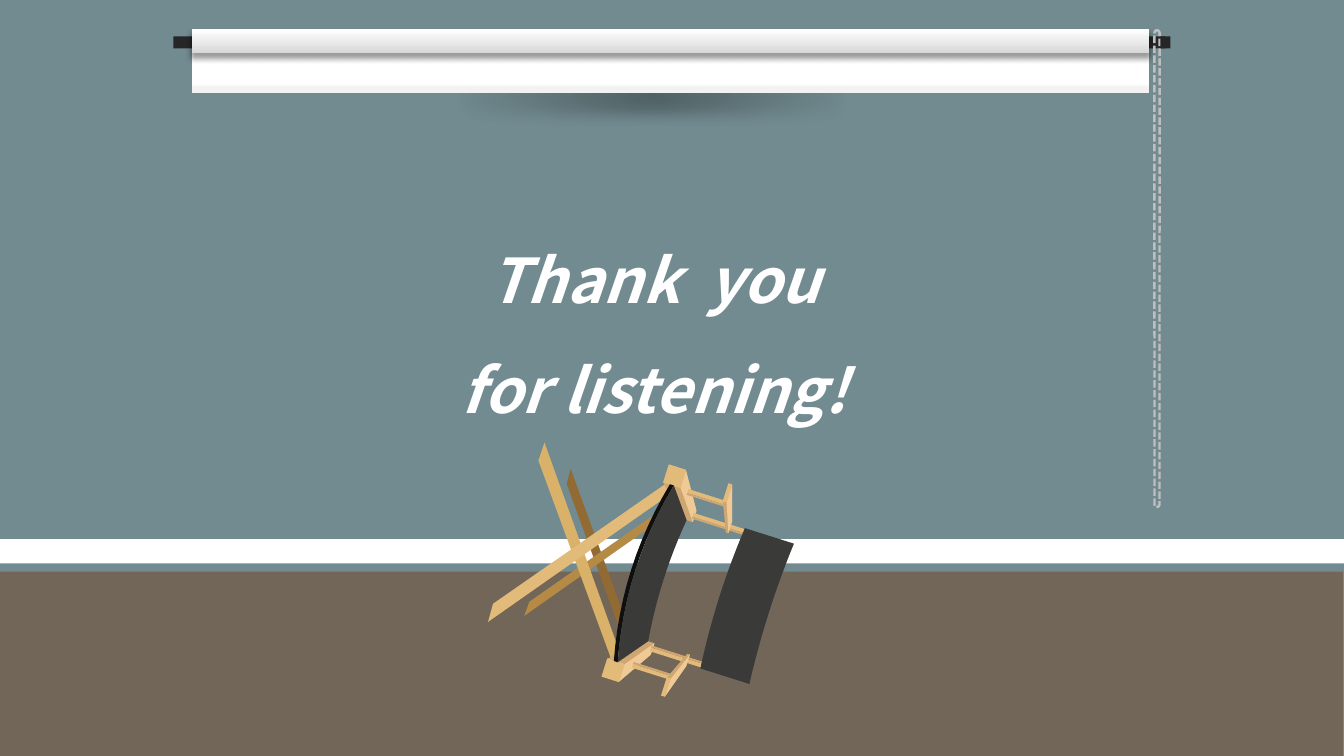
import math
from dataclasses import dataclass

from lxml import etree
from pptx import Presentation
from pptx import util as u
from pptx.dml.color import RGBColor
from pptx.enum import dml, shapes, text
from pptx.oxml import ns

# The slide is a grid of 1333 columns by 750 rows
COLUMNS, ROWS = 1333, 750
CELL = u.Inches(0.01)

# The chair is symmetric about an axis through this cell, and lies tilted
CHAIR_X, CHAIR_Y, TILT = 630, 566, 107.6
SIDES = (-1, 1)

WALL, FLOOR, WHITE, ROD, CHAIN, BLACK = "728B90", "726658", "FFFFFF", "262626", "BFBFBF", "000000"
OAK, OAK_SHADE, OAK_LIGHT = "E2BA7A", "CEA672", "EFCA95"
BACK_LEG, BACK_BRACE, FRONT_LEG = "916B33", "B58A45", "D9B169"
CANVAS, CANVAS_EDGE = "3A3A38", "0F0F0F"

Point = tuple[float, float]


@dataclass
class Block:
    """A preset shape: left, top, width and height in grid cells."""
    color: str
    left: float
    top: float
    width: float
    height: float
    turn: float = 0
    kind: shapes.MSO_SHAPE = shapes.MSO_SHAPE.RECTANGLE


@dataclass
class Leg:
    """A mitred pole with its corners in grid cells."""
    color: str
    corners: list[Point]


@dataclass
class Rail:
    """A pair of rails: distance from the axis, first and last depth."""
    span: float
    start: float
    end: float


@dataclass
class Bracket:
    """A pair of end pieces: depth, thickness and how far they reach back."""
    depth: float
    thickness: float
    reach: float


@dataclass
class Edge:
    """A bowed canvas edge: depth at the axis, bow and half its span."""
    depth: float
    bow: float
    half: float

    def points(self, steps: int = 12) -> list[Point]:
        shares = [2 * i / steps - 1 for i in range(steps + 1)]
        return [place(s * self.half, self.depth + self.bow * s * s) for s in shares]


def place(span: float, depth: float) -> Point:
    """Turn chair measures into a grid position."""
    c, s = math.cos(math.radians(TILT)), math.sin(math.radians(TILT))
    return CHAIR_X + span * c + depth * s, CHAIR_Y + span * s - depth * c


def rgb(color: str) -> RGBColor:
    return RGBColor.from_string(color)


def paint(shape, color: str) -> None:
    shape.shadow.inherit = False
    shape.fill.solid()
    shape.fill.fore_color.rgb = rgb(color)
    shape.line.fill.background()


def draw_block(canvas, block: Block):
    box = [round(v * CELL) for v in (block.left, block.top, block.width, block.height)]
    shape = canvas.add_shape(block.kind, *box)
    shape.rotation = block.turn
    paint(shape, block.color)
    return shape


def draw_outline(canvas, color: str, corners: list[Point]) -> None:
    start, *rest = [(round(x * CELL), round(y * CELL)) for x, y in corners]
    builder = canvas.build_freeform(*start)
    builder.add_line_segments(rest, close=True)
    paint(builder.convert_to_shape(), color)


def draw_wood(canvas, span: float, depth: float, width: float, height: float) -> None:
    x, y = place(span, depth)
    draw_block(canvas, Block(OAK, x - width / 2, y - height / 2, width, height, TILT))


def draw_rail(canvas, rail: Rail) -> None:
    for side in SIDES:
        draw_wood(canvas, side * rail.span, (rail.start + rail.end) / 2, 4,
                  rail.end - rail.start)
        inner, outer = side * (rail.span - 4), side * (rail.span - 2)
        draw_outline(canvas, OAK_SHADE, [
            place(outer, rail.start), place(inner, rail.start),
            place(inner, rail.end + 1), place(outer, rail.end + 1)])


def draw_bracket(canvas, bracket: Bracket) -> None:
    front = bracket.depth
    face = front + bracket.thickness
    back = face + bracket.reach
    for side in SIDES:
        light = [place(side * span, depth) for span, depth in
                 ((92, face), (110, face), (75, back), (63, back))]
        shade = [place(side * span, depth) for span, depth in
                 ((63, back - bracket.thickness * 2 / 3), (92, front), (110, front))]
        draw_outline(canvas, OAK_SHADE, shade + light[1:])
        draw_outline(canvas, OAK_LIGHT, light)
        draw_wood(canvas, side * 101, (front + face) / 2, 19, bracket.thickness)


def draw_cloth(canvas, color: str, front: Edge, back: Edge) -> None:
    draw_outline(canvas, color, front.points() + back.points()[::-1])


def set_gradient(shape, stops: list[tuple[int, str, int]], direction: str) -> None:
    """Replace the fill; each stop is position %, colour, opacity %."""
    marks = "".join(
        f'<a:gs pos="{pos * 1000}"><a:srgbClr val="{color}">'
        f'<a:alpha val="{alpha * 1000}"/></a:srgbClr></a:gs>'
        for pos, color, alpha in stops)
    gradient = etree.fromstring(
        f'<a:gradFill {ns.nsdecls("a")}><a:gsLst>{marks}</a:gsLst>{direction}</a:gradFill>')
    solid = shape._element.spPr.find(ns.qn("a:solidFill"))
    solid.getparent().replace(solid, gradient)


def set_effect(shape, effect: str) -> None:
    effects = shape._element.spPr.find(ns.qn("a:effectLst"))
    effects.append(etree.fromstring(effect.replace(" ", f' {ns.nsdecls("a")} ', 1)))


def draw_screen(canvas) -> None:
    upward = '<a:lin ang="16200000" scaled="0"/>'
    draw_block(canvas, Block(ROD, 172, 36, 984, 12))

    # Soft shade under the screen
    shade = draw_block(canvas, Block(BLACK, 132, 53, 1029, 75, kind=shapes.MSO_SHAPE.OVAL))
    set_gradient(shade, [(0, BLACK, 30), (40, BLACK, 0), (100, BLACK, 0)],
                 '<a:path path="circle"><a:fillToRect l="50000" t="50000" '
                 'r="50000" b="50000"/></a:path>')
    set_effect(shade, f'<a:softEdge rad="{u.Inches(0.15)}"/>')

    # Sheet and roller
    sheet = draw_block(canvas, Block(WHITE, 190, 53, 950, 39))
    set_gradient(sheet, [(0, "F2F2F2", 100), (12, "F2F2F2", 100), (24, WHITE, 100)], upward)
    roller = draw_block(canvas, Block(WHITE, 190, 29, 950, 24))
    set_gradient(roller, [(0, "D7D7D7", 100), (100, WHITE, 100)], upward)
    set_effect(roller, f'<a:outerShdw blurRad="{u.Pt(4)}" dist="{u.Pt(3)}" dir="5400000">'
                       '<a:srgbClr val="000000"><a:alpha val="40000"/></a:srgbClr></a:outerShdw>')

    # Pull chain and rod end
    chain = draw_block(canvas, Block(CHAIN, 911, 264, 473, 5, 90,
                                     shapes.MSO_SHAPE.ROUNDED_RECTANGLE))
    chain.adjustments[0] = 0.5
    chain.fill.background()
    chain.line.color.rgb = rgb(CHAIN)
    chain.line.width = u.Pt(1.75)
    chain.line.dash_style = dml.MSO_LINE.SQUARE_DOT
    draw_block(canvas, Block(ROD, 1151, 36, 10, 12))


def draw_thanks(canvas) -> None:
    thanks = canvas.add_textbox(*(v * CELL for v in (440, 198, 418, 323)))
    frame = thanks.text_frame
    frame.word_wrap = True
    frame.auto_size = text.MSO_AUTO_SIZE.SHAPE_TO_FIT_TEXT
    line = frame.paragraphs[0]
    line.alignment = text.PP_ALIGN.CENTER
    line.line_spacing = 1.5
    words = line.add_run()
    words.text = "Thank  you for listening!"
    font = words.font
    font.name, font.size, font.bold, font.italic = "Noto Sans CJK KR", u.Pt(44), True, True
    font.color.rgb = rgb(WHITE)
    for script in ("a:ea", "a:cs"):
        etree.SubElement(font._element, ns.qn(script), typeface=font.name)


LEGS = [
    Leg(BACK_LEG, [(620, 639), (562, 480), (566, 465), (624, 625)]),
    Leg(BACK_BRACE, [(664, 500), (525, 597), (520, 611), (659, 513)]),
    Leg(FRONT_LEG, [(607, 656), (534, 457), (540, 439), (615, 648)]),
    Leg(OAK, [(663, 478), (489, 599), (484, 617), (665, 490)]),
]


def draw_chair(canvas) -> None:
    for leg in LEGS:
        draw_outline(canvas, leg.color, leg.corners)
    draw_bracket(canvas, Bracket(0, 18, 22))
    for rail in (Rail(91, 26, 71), Rail(70, 38, 102)):
        draw_rail(canvas, rail)
    draw_bracket(canvas, Bracket(62, 4, 11))

    # Canvas seat and back
    fold = Edge(0, 11, 92)
    draw_cloth(canvas, CANVAS_EDGE, Edge(-4, 11, 92), fold)
    draw_cloth(canvas, CANVAS, fold, Edge(29.5, 4, 63))
    draw_cloth(canvas, CANVAS, Edge(87.5, 3.5, 73), Edge(139, 3, 73))


def main() -> None:
    deck = Presentation()
    deck.slide_width, deck.slide_height = COLUMNS * CELL, ROWS * CELL
    slide = deck.slides.add_slide(deck.slide_layouts[6])
    slide.background.fill.solid()
    slide.background.fill.fore_color.rgb = rgb(WALL)

    # Floor and skirting board
    draw_block(slide.shapes, Block(FLOOR, -1, 567, COLUMNS, ROWS - 567))
    draw_block(slide.shapes, Block(WHITE, 0, 535, COLUMNS, 24))
    draw_screen(slide.shapes.add_group_shape().shapes)
    draw_thanks(slide.shapes)
    draw_chair(slide.shapes.add_group_shape().shapes)
    deck.save("out.pptx")


if __name__ == "__main__":
    main()
